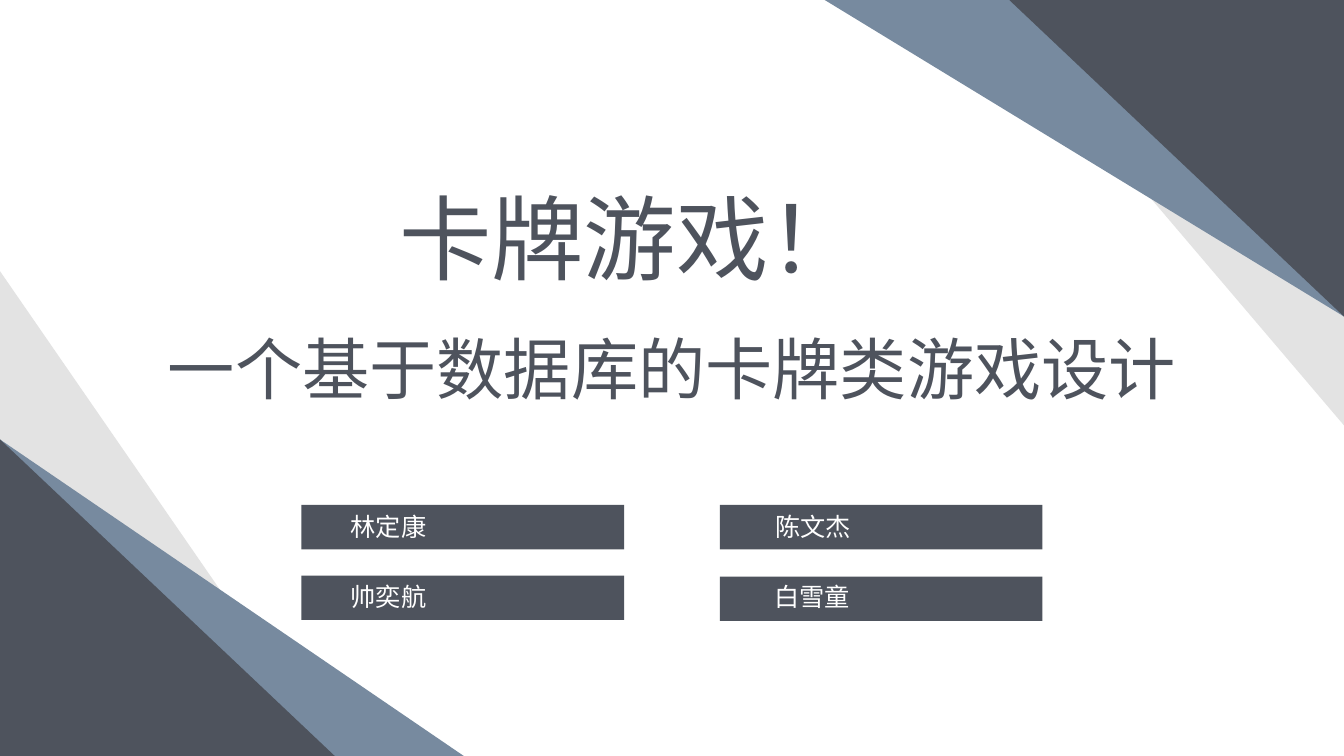
from dataclasses import dataclass

from lxml.etree import SubElement
from pptx import Presentation
from pptx.dml.color import RGBColor
from pptx.enum.shapes import MSO_SHAPE
from pptx.enum.text import MSO_AUTO_SIZE, PP_ALIGN
from pptx.oxml.ns import qn
from pptx.slide import Slide
from pptx.util import Inches, Pt

SLATE = RGBColor(0x4E, 0x53, 0x5D)
STEEL_BLUE = RGBColor(0x77, 0x8A, 0x9F)
PALE_GRAY = RGBColor(0xE3, 0xE3, 0xE3)
WHITE = RGBColor(0xFF, 0xFF, 0xFF)
FONT_NAME = "Noto Sans CJK SC"
SLIDE_WIDTH = 13.33
SLIDE_HEIGHT = 7.5
BAR_WIDTH = 3.2
BAR_HEIGHT = 0.44


@dataclass(frozen=True)
class Box:
    left: float
    top: float
    width: float
    height: float

    def lengths(self) -> list[int]:
        return [Inches(value) for value in (self.left, self.top, self.width, self.height)]


@dataclass(frozen=True)
class CornerTriangle:
    width: float
    height: float
    color: RGBColor
    at_top_right: bool = False


@dataclass(frozen=True)
class Label:
    text: str
    box: Box
    size: int
    color: RGBColor
    alignment: PP_ALIGN = PP_ALIGN.JUSTIFY


@dataclass(frozen=True)
class Member:
    name: str
    bar_left: float
    bar_top: float
    label_left: float
    label_top: float
    label_width: float = 2.43


TRIANGLES = [
    CornerTriangle(3.32, 4.81, PALE_GRAY),
    CornerTriangle(4.6, 3.14, STEEL_BLUE),
    CornerTriangle(3.32, 3.14, SLATE),
    CornerTriangle(3.59, 4.22, PALE_GRAY, True),
    CornerTriangle(5.15, 3.14, STEEL_BLUE, True),
    CornerTriangle(3.32, 3.14, SLATE, True),
]
HEADINGS = [
    Label("一个基于数据库的卡牌类游戏设计", Box(1.53, 3.2, 10.27, 0.91), 48, SLATE, PP_ALIGN.CENTER),
    Label("卡牌游戏！", Box(3.86, 1.75, 5.62, 1.21), 66, SLATE),
]
MEMBERS = [
    Member("林定康", 2.99, 5.01, 3.38, 5.02),
    Member("陈文杰", 7.14, 5.01, 7.59, 5.02, 2.3),
    Member("帅奕航", 2.99, 5.71, 3.38, 5.72),
    Member("白雪童", 7.14, 5.72, 7.58, 5.72),
]


def draw_shape(slide: Slide, kind: MSO_SHAPE, box: Box, color: RGBColor, rotation: float = 0) -> None:
    shape = slide.shapes.add_shape(kind, *box.lengths())
    shape.shadow.inherit = False
    shape.rotation = rotation
    shape.fill.solid()
    shape.fill.fore_color.rgb = color
    shape.line.fill.background()


def draw_triangle(slide: Slide, triangle: CornerTriangle) -> None:
    left = SLIDE_WIDTH - triangle.width if triangle.at_top_right else 0
    top = 0 if triangle.at_top_right else SLIDE_HEIGHT - triangle.height
    rotation = 180 if triangle.at_top_right else 0
    box = Box(left, top, triangle.width, triangle.height)
    draw_shape(slide, MSO_SHAPE.RIGHT_TRIANGLE, box, triangle.color, rotation)


def draw_label(slide: Slide, label: Label) -> None:
    text_frame = slide.shapes.add_textbox(*label.box.lengths()).text_frame
    frame_format = {"word_wrap": True, "auto_size": MSO_AUTO_SIZE.SHAPE_TO_FIT_TEXT}
    for attribute, value in frame_format.items():
        setattr(text_frame, attribute, value)
    paragraph = text_frame.paragraphs[0]
    paragraph.alignment = label.alignment
    run = paragraph.add_run()
    run.text = label.text
    run.font.color.rgb = label.color
    font_format = {"name": FONT_NAME, "size": Pt(label.size)}
    for attribute, value in font_format.items():
        setattr(run.font, attribute, value)
    east_asian_font = SubElement(run._r.get_or_add_rPr(), qn("a:ea"))
    east_asian_font.set("typeface", FONT_NAME)


def draw_member(slide: Slide, member: Member) -> None:
    bar = Box(member.bar_left, member.bar_top, BAR_WIDTH, BAR_HEIGHT)
    draw_shape(slide, MSO_SHAPE.RECTANGLE, bar, SLATE)
    label_box = Box(member.label_left, member.label_top, member.label_width, 0.4)
    draw_label(slide, Label(member.name, label_box, 18, WHITE))


def main() -> None:
    presentation = Presentation()
    presentation.slide_width = Inches(SLIDE_WIDTH)
    presentation.slide_height = Inches(SLIDE_HEIGHT)
    slide = presentation.slides.add_slide(presentation.slide_layouts[6])
    for triangle in TRIANGLES:
        draw_triangle(slide, triangle)
    for heading in HEADINGS:
        draw_label(slide, heading)
    for member in MEMBERS:
        draw_member(slide, member)
    presentation.save("out.pptx")


if __name__ == "__main__":
    main()
